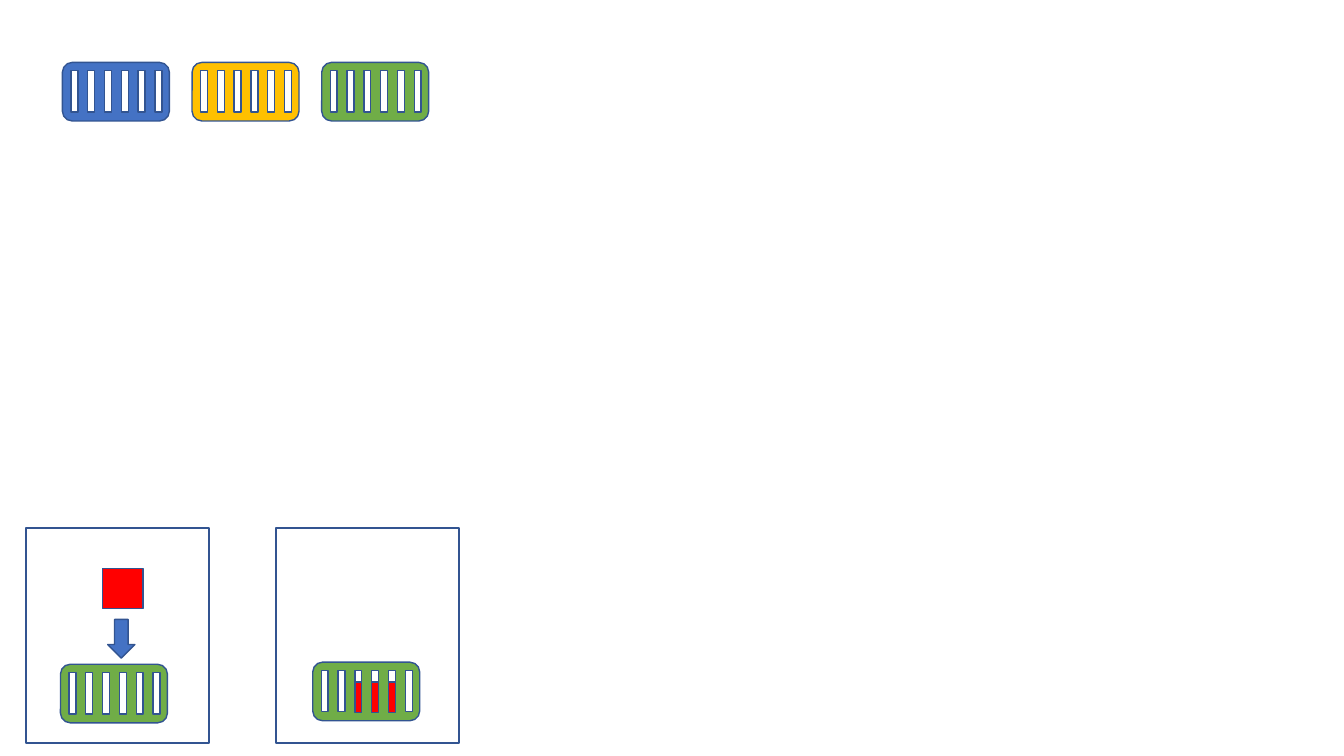
"""Build a slide of slotted racks, with one rack shown before and after loading."""
from pptx import Presentation
from pptx.dml.color import RGBColor
from pptx.enum.shapes import MSO_SHAPE as SHAPE
from pptx.util import Pt

BLUE, AMBER, GREEN = "4472C4", "FFC000", "70AD47"
RED, WHITE, OUTLINE = "FF0000", "FFFFFF", "325491"

RACK_W, RACK_H = 76.4, 41.8
SLOT_COUNT, SLOT_PITCH = 6, 12
SLOT_X, SLOT_Y, SLOT_W, SLOT_H = 6.1, 5.9, 5, 29.5
LOAD_Y, LOAD_H = 14.2, 21.6

TOP_RACKS = [BLUE, AMBER, GREEN]
TOP_X, TOP_Y, TOP_STEP = 44.6, 44.6, 92.6
PANEL_XS, PANEL_Y, PANEL_W, PANEL_H = [18.7, 197.3], 377.3, 130.5, 153.4

racks = [(TOP_X + i * TOP_STEP, TOP_Y, color, ()) for i, color in enumerate(TOP_RACKS)]
racks += [(43.2, 474.5, GREEN, ()), (223.4, 473, GREEN, (2, 3, 4))]


def add_box(shapes, kind, x, y, w, h, fill=None):
    """Add an outlined shape, unfilled when no colour is given."""
    sp = shapes.add_shape(kind, Pt(x), Pt(y), Pt(w), Pt(h))
    sp.shadow.inherit = False
    sp.line.color.rgb = RGBColor.from_string(OUTLINE)
    sp.line.width = Pt(1)
    if fill:
        sp.fill.solid()
        sp.fill.fore_color.rgb = RGBColor.from_string(fill)
    else:
        sp.fill.background()


def add_rack(s, x, y, color, loaded):
    """Add a grouped rack whose loaded slots are partly red."""
    shapes = s.shapes.add_group_shape().shapes
    add_box(shapes, SHAPE.ROUNDED_RECTANGLE, x, y, RACK_W, RACK_H, color)
    slot_xs = [x + SLOT_X + i * SLOT_PITCH for i in range(SLOT_COUNT)]
    for slot_x in slot_xs:
        add_box(shapes, SHAPE.RECTANGLE, slot_x, y + SLOT_Y, SLOT_W, SLOT_H, WHITE)
    for i in loaded:
        add_box(shapes, SHAPE.RECTANGLE, slot_xs[i], y + LOAD_Y, SLOT_W, LOAD_H, RED)


prs = Presentation()
prs.slide_width, prs.slide_height = Pt(960), Pt(540)
s = prs.slides.add_slide(prs.slide_layouts[6])
for rack in racks:
    add_rack(s, *rack)
add_box(s.shapes, SHAPE.DOWN_ARROW, 77, 442.5, 19.4, 27.6, BLUE)
add_box(s.shapes, SHAPE.RECTANGLE, 73.3, 406.2, 29, 28.6, RED)
for x in PANEL_XS:
    add_box(s.shapes, SHAPE.RECTANGLE, x, PANEL_Y, PANEL_W, PANEL_H)
prs.save("out.pptx")
